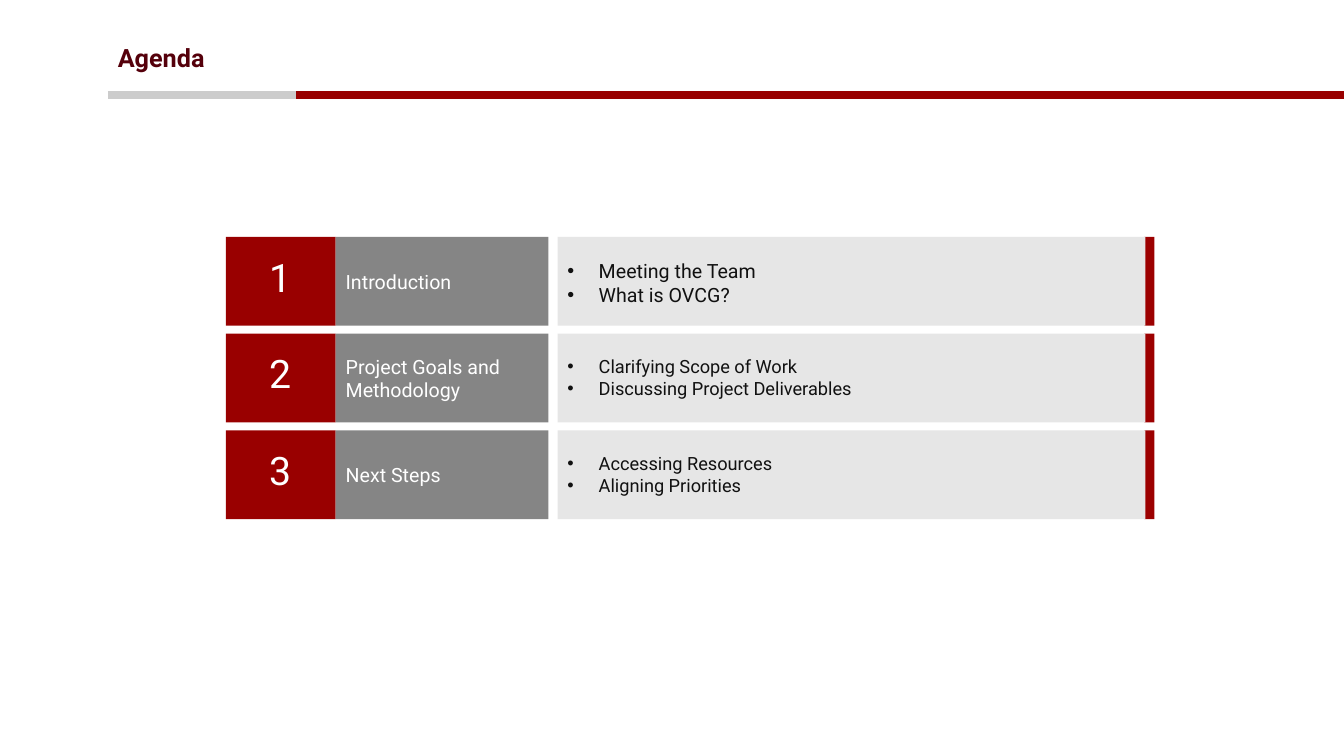
import dataclasses
import typing

import pptx
import pptx.dml.color
import pptx.enum.shapes
import pptx.enum.text
import pptx.util
from lxml import etree
from pptx.oxml.ns import qn

Inches = pptx.util.Inches
Points = pptx.util.Pt
Anchor = pptx.enum.text.MSO_ANCHOR

FONT = "Roboto"
RED = "990000"
EDGE_RED = "9C0000"
DARK_RED = "55000B"
GRAY = "858585"
RULE_GRAY = "CCCCCC"
PANEL_GRAY = "E6E6E6"
WHITE = "FFFFFF"
INK = "111111"

FIRST_ROW_TOP = 2.35
ROW_PITCH = 0.96
ROW_HEIGHT = 0.88
BULLET_INDENT = 0.31


@dataclasses.dataclass
class AgendaItem:
    number: str
    topic: str
    points: list[str]
    point_size: int
    points_height: float


AGENDA = [
    AgendaItem("1", "Introduction", ["Meeting the Team", "What is OVCG?"], 14, 0.57),
    AgendaItem("2", "Project Goals and Methodology",
               ["Clarifying Scope of Work", "Discussing Project Deliverables"], 13, 0.54),
    AgendaItem("3", "Next Steps", ["Accessing Resources", "Aligning Priorities"], 13, 0.54),
]


def color(value: str) -> pptx.dml.color.RGBColor:
    return pptx.dml.color.RGBColor.from_string(value)


def add_bullet(paragraph: typing.Any) -> None:
    properties = paragraph._p.get_or_add_pPr()
    properties.set("marL", str(Inches(BULLET_INDENT)))
    properties.set("indent", str(-Inches(BULLET_INDENT)))
    etree.SubElement(properties, qn("a:buFont"), typeface="Arial")
    etree.SubElement(properties, qn("a:buChar"), char="•")


def write_text(shape: typing.Any, lines: list[str], *, size: int, text_color: str,
               bold: bool = False, bullets: bool = False, wrap: bool = True,
               anchor: Anchor = Anchor.TOP, line_spacing: float = 1.0,
               space_before: int = 0) -> None:
    frame = shape.text_frame
    frame.word_wrap = wrap
    frame.vertical_anchor = anchor
    for index, line in enumerate(lines):
        paragraph = frame.add_paragraph() if index else frame.paragraphs[0]
        paragraph.alignment = pptx.enum.text.PP_ALIGN.LEFT
        paragraph.line_spacing = line_spacing
        paragraph.space_before = Points(space_before)
        if bullets:
            add_bullet(paragraph)
        run = paragraph.add_run()
        run.text = line
        run.font.name = FONT
        run.font.size = Points(size)
        run.font.bold = bold
        run.font.color.rgb = color(text_color)


def add_box(shapes: typing.Any, left: float, top: float, width: float, height: float,
            fill: str) -> typing.Any:
    shape = shapes.add_shape(pptx.enum.shapes.MSO_SHAPE.RECTANGLE, Inches(left), Inches(top),
                             Inches(width), Inches(height))
    shape.shadow.inherit = False
    shape.fill.solid()
    shape.fill.fore_color.rgb = color(fill)
    shape.line.fill.background()
    return shape


def add_text_box(shapes: typing.Any, left: float, top: float, width: float,
                 height: float) -> typing.Any:
    return shapes.add_textbox(Inches(left), Inches(top), Inches(width), Inches(height))


def add_rule(shapes: typing.Any, start: float, end: float, line_color: str) -> None:
    y = Inches(0.94)
    connector = shapes.add_connector(pptx.enum.shapes.MSO_CONNECTOR.STRAIGHT,
                                     Inches(start), y, Inches(end), y)
    connector.line.color.rgb = color(line_color)
    connector.line.width = Points(6)
    etree.SubElement(connector._element.spPr, qn("a:effectLst"))


def add_agenda_row(shapes: typing.Any, item: AgendaItem, top: float) -> None:
    row = shapes.add_group_shape().shapes

    # Number and topic
    add_box(row, 2.24, top, 1.09, ROW_HEIGHT, RED)
    topic = add_box(row, 3.33, top, 2.11, ROW_HEIGHT, GRAY)
    write_text(topic, [item.topic], size=14, text_color=WHITE, anchor=Anchor.MIDDLE)
    number = add_box(row, 2.57, top + 0.11, 0.42, 0.57, RED)
    write_text(number, [item.number], size=28, text_color=WHITE, wrap=False)

    # Panel with its bullet points
    add_box(row, 11.35, top, 0.1, ROW_HEIGHT, EDGE_RED)
    add_box(row, 5.53, top, 5.83, ROW_HEIGHT, PANEL_GRAY)
    points = add_text_box(row, 5.53, top + 0.17, 5.58, item.points_height)
    write_text(points, item.points, size=item.point_size, text_color=INK, bullets=True)


def main() -> None:
    presentation = pptx.Presentation()
    presentation.slide_width = Inches(13.33)
    presentation.slide_height = Inches(7.5)
    slide = presentation.slides.add_slide(presentation.slide_layouts[6])

    # Header
    add_rule(slide.shapes, 1.33, 13.33, RED)
    add_rule(slide.shapes, 1.07, 2.94, RULE_GRAY)
    title = add_text_box(slide.shapes, 1.07, 0.4, 11.63, 0.41)
    write_text(title, ["Agenda"], size=18, text_color=DARK_RED, bold=True,
               line_spacing=0.9, space_before=3)

    # Agenda rows
    for index, item in enumerate(AGENDA):
        add_agenda_row(slide.shapes, item, FIRST_ROW_TOP + index * ROW_PITCH)

    presentation.save("out.pptx")


if __name__ == "__main__":
    main()
